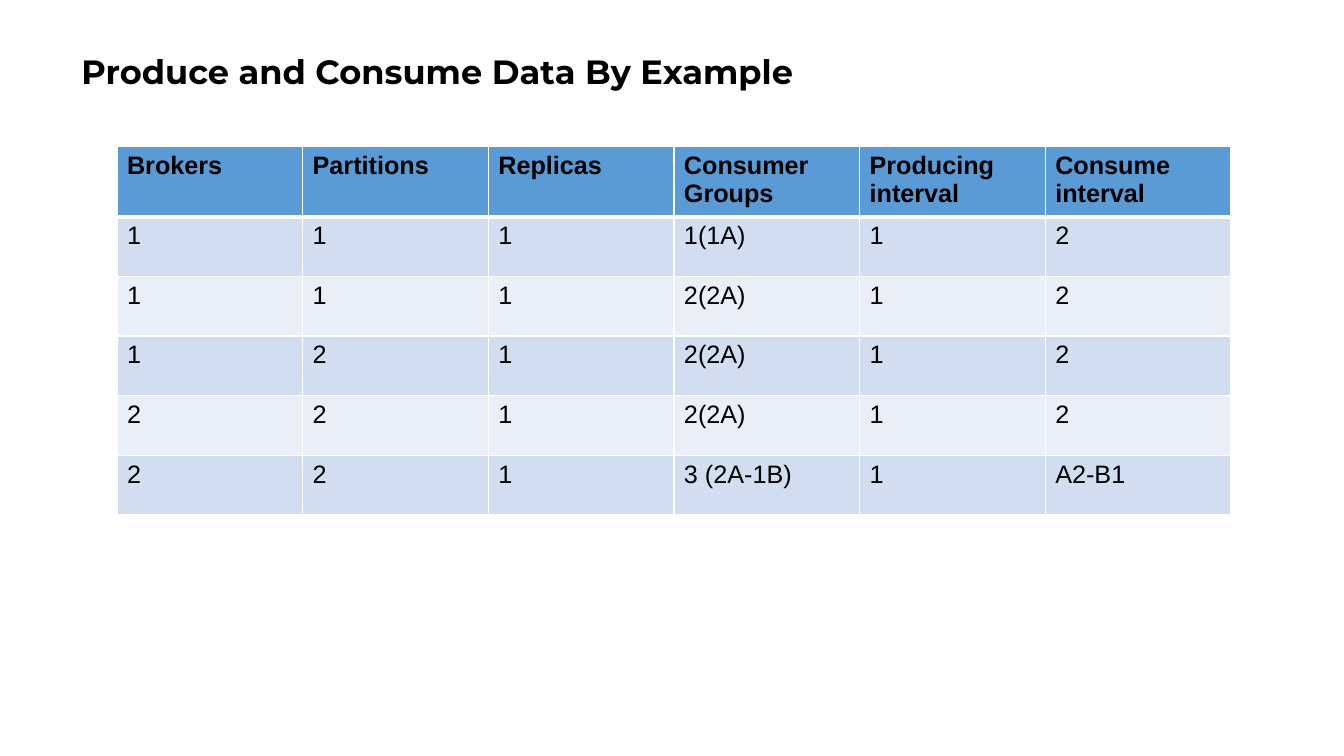
from dataclasses import dataclass

from lxml.etree import SubElement
from pptx import Presentation
from pptx.dml.color import RGBColor as RGB
from pptx.enum.text import MSO_ANCHOR as Anchor
from pptx.oxml.ns import qn
from pptx.util import Inches, Pt


@dataclass(frozen=True)
class Theme:
    text: str = "000000"
    border: str = "FFFFFF"
    header: str = "5B9BD5"
    bands: tuple = ("D2DEEF", "EAEFF7")
    title_font: str = "Montserrat"
    body_font: str = "Arial"
    title_size: int = 24
    body_size: int = 18
    thin: int = 1
    thick: int = 3


theme = Theme()


def add_run(p, text, font, size, bold):
    r = p.add_run()
    r.text = text
    r.font.name = font
    r.font.size = Pt(size)
    r.font.bold = bold
    r.font.color.rgb = RGB.from_string(theme.text)


def add_border(cell, side, width):
    ln = SubElement(cell._tc.get_or_add_tcPr(), qn(f"a:ln{side}"), w=str(Pt(width)))
    fill = SubElement(ln, qn("a:solidFill"))
    SubElement(fill, qn("a:srgbClr"), val=theme.border)


prs = Presentation()
prs.slide_width = Inches(13.33)
prs.slide_height = Inches(7.5)
s = prs.slides.add_slide(prs.slide_layouts[6])

title = s.shapes.add_textbox(Inches(0.71), Inches(0), Inches(11.5), Inches(1.45))
tf = title.text_frame
tf.word_wrap = True
tf.vertical_anchor = Anchor.MIDDLE
p = tf.paragraphs[0]
p.line_spacing = 0.9
add_run(p, "Produce and Consume Data By Example", theme.title_font, theme.title_size, True)

rows = [
    ["Brokers", "Partitions", "Replicas", "Consumer\nGroups", "Producing\ninterval", "Consume\ninterval"],
    ["1", "1", "1", "1(1A)", "1", "2"],
    ["1", "1", "1", "2(2A)", "1", "2"],
    ["1", "2", "1", "2(2A)", "1", "2"],
    ["2", "2", "1", "2(2A)", "1", "2"],
    ["2", "2", "1", "3 (2A-1B)", "1", "A2-B1"],
]

table = s.shapes.add_table(
    len(rows), len(rows[0]), Inches(1.16), Inches(1.45), Inches(11.05), Inches(3.55)
).table

for i, values in enumerate(rows):
    is_header = i == 0
    fill = theme.header if is_header else theme.bands[(i - 1) % 2]
    top = theme.thick if i == 1 else theme.thin
    bottom = theme.thick if is_header else theme.thin
    for j, value in enumerate(values):
        cell = table.cell(i, j)
        for side, width in (("L", theme.thin), ("R", theme.thin), ("T", top), ("B", bottom)):
            add_border(cell, side, width)
        cell.fill.solid()
        cell.fill.fore_color.rgb = RGB.from_string(fill)
        tf = cell.text_frame
        for k, line in enumerate(value.split("\n")):
            p = tf.add_paragraph() if k else tf.paragraphs[0]
            add_run(p, line, theme.body_font, theme.body_size, is_header)

prs.save("out.pptx")
